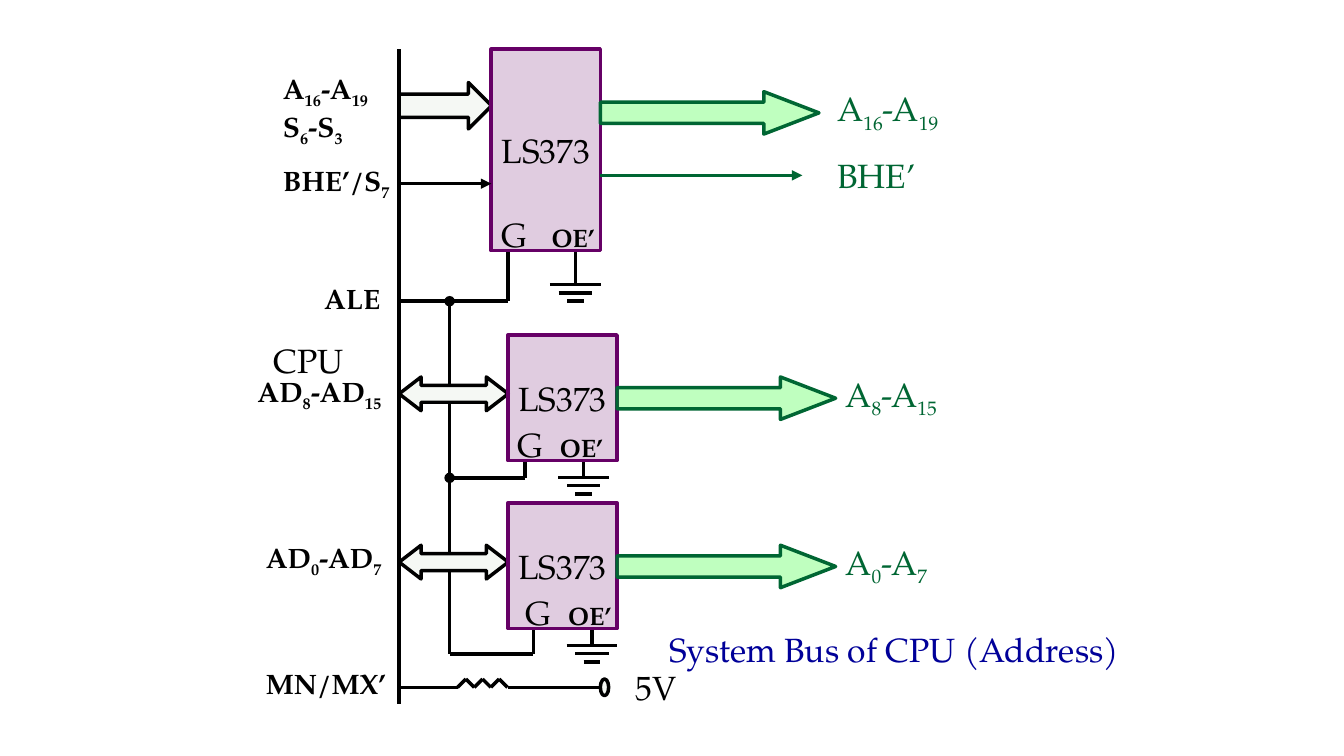
"""Build the slide showing the latched address bus of a CPU."""
from itertools import pairwise

from lxml import etree
from pptx import Presentation
from pptx.dml.color import RGBColor
from pptx.enum.shapes import MSO_CONNECTOR, MSO_SHAPE
from pptx.enum.text import MSO_ANCHOR, MSO_AUTO_SIZE, PP_ALIGN
from pptx.oxml.ns import qn
from pptx.util import Cm, Pt

RECTANGLE = MSO_SHAPE.RECTANGLE
RIGHT_ARROW = MSO_SHAPE.RIGHT_ARROW
DOUBLE_ARROW = MSO_SHAPE.LEFT_RIGHT_ARROW
OVAL = MSO_SHAPE.OVAL
STRAIGHT = MSO_CONNECTOR.STRAIGHT
LEFT, CENTER = PP_ALIGN.LEFT, PP_ALIGN.CENTER
TOP, MIDDLE = MSO_ANCHOR.TOP, MSO_ANCHOR.MIDDLE
FIT_SHAPE, NO_FIT = MSO_AUTO_SIZE.SHAPE_TO_FIT_TEXT, MSO_AUTO_SIZE.NONE

FONT = "TeX Gyre Pagella"
BLACK, GREEN, PURPLE, BLUE = "000000", "006633", "660066", "000099"
LIME, GRAY_GREEN = "00FF00", "3B812F"
LINE_WIDTH = Pt(2.5)
BUS_X, ALE_X, ALE_Y = 10.06, 11.33, 7.59
LATCH_WIDTH = 2.75
RESISTOR_Y = 17.32


def write_text(frame, text, size, color, bold=False):
    """Fill a frame; parts between underscores become subscripts."""
    paragraph = frame.paragraphs[0]
    for index, part in enumerate(text.split("_")):
        if part:
            run = paragraph.add_run()
            run.text = part
            run.font.name = FONT
            run.font.size = Pt(size)
            run.font.bold = bold
            run.font.color.rgb = RGBColor.from_string(color)
            if index % 2:
                run._r.get_or_add_rPr().set("baseline", "-25000")
    return paragraph


def add_line(start, end, color=BLACK, marker=None, kind=None):
    """Draw a wire, with an optional headEnd or tailEnd marker."""
    line = slide.shapes.add_connector(STRAIGHT, *map(Cm, start + end))
    line.line.width = LINE_WIDTH
    line.line.color.rgb = RGBColor.from_string(color)
    if marker:
        etree.SubElement(line.line._get_or_add_ln(), qn(marker), type=kind)
    etree.SubElement(line._element.spPr, qn("a:effectLst"))


presentation = Presentation()
presentation.slide_width = Cm(33.87)
presentation.slide_height = Cm(19.05)
slide = presentation.slides.add_slide(presentation.slide_layouts[5])

title = slide.shapes.title
title.left, title.top, title.width, title.height = map(Cm, (16.61, 15.72, 13.34, 1.27))
title.text_frame.auto_size = NO_FIT
title.text_frame.vertical_anchor = TOP
write_text(title.text_frame, "System Bus of CPU (Address)", 24, BLUE).alignment = LEFT

# latch left, top, height, gate wire x, gate wire end y, gate label x, ground x, ground stem
latches = [
    (12.38, 1.24, 5.08, 12.8, ALE_Y, 12.38, 14.5, 0.85),
    (12.8, 8.44, 3.17, 13.23, 12.04, 12.8, 14.71, 0.42),
    (12.8, 12.67, 3.17, 13.44, 16.48, 13, 14.92, 0.42),
]
outputs = [(2.31, 20.85, "A_16_-A_19_"), (9.5, 21.06, "A_8_-A_15_"), (13.74, 21.06, "A_0_-A_7_")]

shapes = [
    (RIGHT_ARROW, (BUS_X, 2.08, 2.33, 1.17), (0.5, 0.5), GRAY_GREEN, 5, BLACK),
    (DOUBLE_ARROW, (BUS_X, 9.5, 2.75, 0.85), (0.5, 0.65), GRAY_GREEN, 5, BLACK),
    (DOUBLE_ARROW, (BUS_X, 13.74, 2.75, 0.85), (0.5, 0.65), GRAY_GREEN, 5, BLACK),
    (OVAL, (15.13, RESISTOR_Y - 0.21, 0.21, 0.42), (), GRAY_GREEN, 5, BLACK),
]
labels = [
    ("CPU", (6.65, 8.44, 4.02, 1.27), 24, BLACK, False),
    ("A_16_-A_19 _S_6_-S_3_", (6.88, 1.68, 3.6, 1.96), 20, BLACK, True),
    ("BHE’/S_7_", (6.88, 4, 4.02, 1.09), 20, BLACK, True),
    ("ALE", (7.92, 6.96, 2.96, 1.09), 20, BLACK, True),
    ("AD_8_-AD_15_", (6.24, 9.3, 4.23, 1.09), 20, BLACK, True),
    ("AD_0_-AD_7_", (6.45, 13.5, 4.23, 1.09), 20, BLACK, True),
    ("MN/MX’", (6.45, 16.67, 4.23, 1.09), 20, BLACK, True),
    ("BHE’", (20.85, 3.78, 5.08, 1.27), 24, GREEN, False),
    ("5V", (15.77, 16.68, 1.9, 1.27), 24, BLACK, False),
]

for latch, output in zip(latches, outputs):
    left, top, height, gate_x, gate_y, gate_label_x, ground_x, stem = latch
    arrow_top, output_x, output_name = output
    bottom = top + height
    shapes += [
        (RECTANGLE, (left, top, LATCH_WIDTH, height), (), PURPLE, 20, PURPLE),
        (RIGHT_ARROW, (left + LATCH_WIDTH, arrow_top, 5.51, 1.07), (0.5, 1.3), LIME, 25, GREEN),
    ]
    labels += [
        ("G", (gate_label_x, bottom - 1.05, 1.47, 1.27), 24, BLACK, False),
        ("OE’", (ground_x - 0.85, bottom - 0.83, 1.9, 1.02), 18, BLACK, True),
        (output_name, (output_x, arrow_top - 0.21, 5.08, 1.27), 24, GREEN, False),
    ]
    add_line((gate_x, bottom), (gate_x, gate_y))
    add_line((ground_x, bottom), (ground_x, bottom + stem))
    for step, half_width in enumerate((0.64, 0.42, 0.21)):
        bar_y = bottom + stem + 0.21 * step
        add_line((ground_x - half_width, bar_y), (ground_x + half_width, bar_y))

for kind, box, adjustments, fill, opacity, outline in shapes:
    shape = slide.shapes.add_shape(kind, *map(Cm, box))
    shape.shadow.inherit = False
    for index, value in enumerate(adjustments):
        shape.adjustments[index] = value
    shape.fill.solid()
    shape.fill.fore_color.rgb = RGBColor.from_string(fill)
    color_element = shape._element.spPr.find(qn("a:solidFill"))[0]
    etree.SubElement(color_element, qn("a:alpha"), val=str(opacity * 1000))
    shape.line.width = LINE_WIDTH
    shape.line.color.rgb = RGBColor.from_string(outline)
    if kind == RECTANGLE:
        shape.text_frame.word_wrap = False
        shape.text_frame.vertical_anchor = MIDDLE
        write_text(shape.text_frame, "LS373", 24, BLACK).alignment = CENTER

add_line((BUS_X, 1.24), (BUS_X, 17.75))
add_line((BUS_X, 4.63), (12.38, 4.63), BLACK, "a:tailEnd", "triangle")
add_line((15.13, 4.42), (20.22, 4.42), GREEN, "a:tailEnd", "triangle")
add_line((BUS_X, ALE_Y), (12.8, ALE_Y))
add_line((ALE_X, ALE_Y), (ALE_X, 9.7), BLACK, "a:headEnd", "oval")
add_line((ALE_X, 10.13), (ALE_X, 13.94))
add_line((ALE_X, 12.04), (13.23, 12.04), BLACK, "a:headEnd", "oval")
add_line((ALE_X, 14.38), (ALE_X, 16.48))
add_line((ALE_X, 16.48), (13.44, 16.48))

zigzag = [(11.53 + 0.21 * step, RESISTOR_Y - 0.21 * (step % 2)) for step in range(7)]
for start, end in pairwise([(BUS_X, RESISTOR_Y), *zigzag, (15.13, RESISTOR_Y)]):
    add_line(start, end)

for text, box, size, color, bold in labels:
    label = slide.shapes.add_textbox(*map(Cm, box))
    label.text_frame.word_wrap = True
    label.text_frame.auto_size = FIT_SHAPE
    write_text(label.text_frame, text, size, color, bold)

presentation.save("out.pptx")
